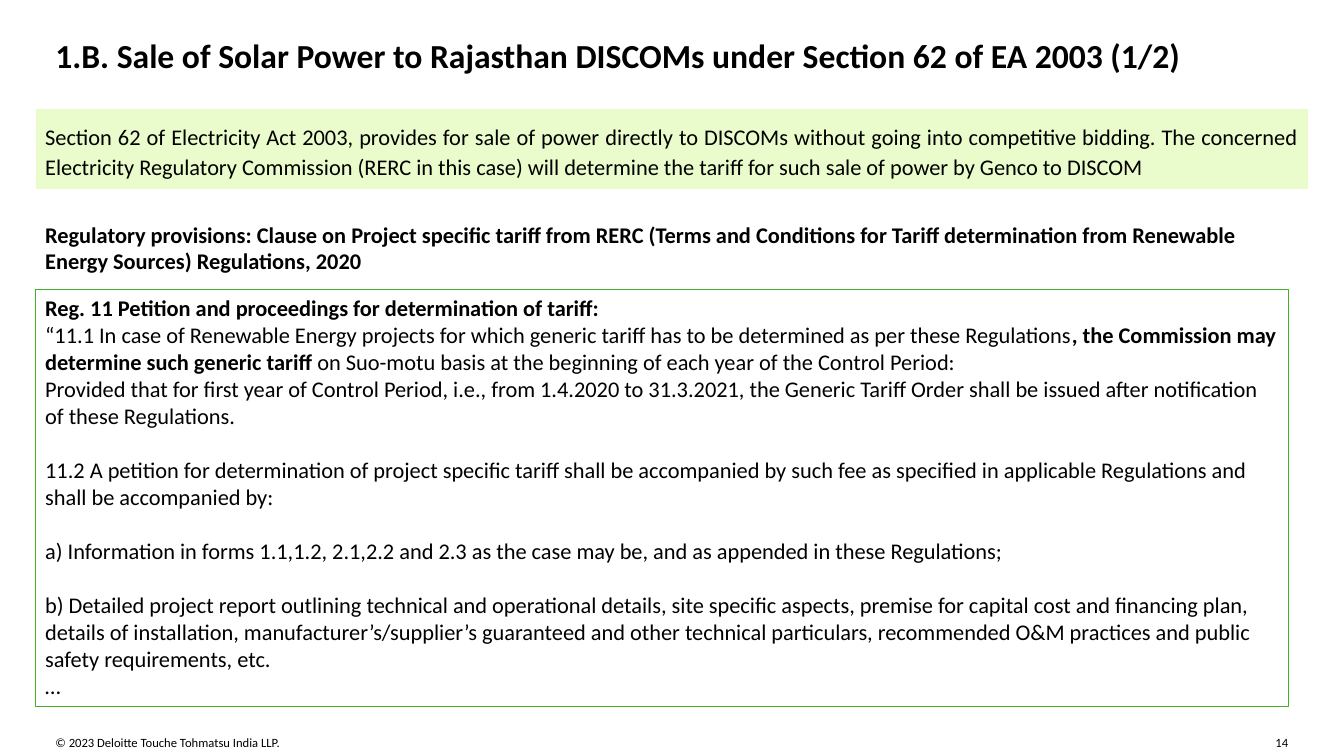
from pptx import Presentation
from pptx.dml.color import RGBColor
from pptx.enum.shapes import MSO_SHAPE
from pptx.enum.text import MSO_ANCHOR, PP_ALIGN
from pptx.util import Inches, Pt

COLORS = {"text": "000000", "band": "EBFCCC", "edge": "FFFFFF", "frame": "43B02A"}
LINE = 19.53  # height of one 16 pt text line, in points

deck = Presentation()
deck.slide_width, deck.slide_height = Inches(13.33), Inches(7.5)
slide = deck.slides.add_slide(deck.slide_layouts[6])


def add_box(left, top, width, height, pad=(0, 0), line=None, fill=None):
    """Add a plain text box, or a rectangle when a line colour is given."""
    place = [Inches(n) for n in (left, top, width, height)]
    if line:
        box = slide.shapes.add_shape(MSO_SHAPE.RECTANGLE, *place)
        box.shadow.inherit = False
        box.line.color.rgb = RGBColor.from_string(COLORS[line])
        box.line.width = Pt(0.75)
        if fill:
            box.fill.solid()
            box.fill.fore_color.rgb = RGBColor.from_string(COLORS[fill])
        else:
            box.fill.background()
    else:
        box = slide.shapes.add_textbox(*place)
    frame = box.text_frame
    frame.word_wrap = True
    frame.vertical_anchor = MSO_ANCHOR.TOP
    frame.margin_left = frame.margin_right = Inches(pad[0])
    frame.margin_top = frame.margin_bottom = Inches(pad[1])
    return frame


def add_runs(para, runs, size=16, align=PP_ALIGN.LEFT):
    """Fill a paragraph with (text, bold) runs."""
    para.alignment = align
    for text, bold in runs:
        run = para.add_run()
        run.text = text
        run.font.name = "Calibri"
        run.font.size = Pt(size)
        run.font.bold = bold
        run.font.color.rgb = RGBColor.from_string(COLORS["text"])


# Title
title = add_box(0.55, 0.35, 12.24, 0.37)
add_runs(title.paragraphs[0], [
    ("1.B. Sale of Solar Power to Rajasthan DISCOMs under Section 62 of EA 2003 (1/2)", True),
], size=24)

# Green summary band
band = add_box(0.35, 1.08, 12.63, 0.8, (0.1, 0.1), "edge", "band")
lead = band.paragraphs[0]
lead.line_spacing = 1.14
add_runs(lead, [
    ("Section 62 of Electricity Act 2003, provides for sale of power directly to DISCOMs "
     "without going into competitive bidding. The concerned Electricity Regulatory "
     "Commission (RERC in this case) will determine the tariff for such sale of power "
     "by Genco to DISCOM", False),
], align=PP_ALIGN.JUSTIFY)

# Heading above the frame
head = add_box(0.35, 2.14, 12.63, 0.64, (0.1, 0.05))
add_runs(head.paragraphs[0], [
    ("Regulatory provisions: Clause on Project specific tariff from RERC (Terms and "
     "Conditions for Tariff determination from Renewable Energy Sources) "
     "Regulations, 2020", True),
])

# Framed clauses: lines of space before, then runs
clauses = [
    (0, [("Reg. 11 Petition and proceedings for determination of tariff:", True)]),
    (0, [("“11.1 In case of Renewable Energy projects for which generic tariff has to be "
          "determined as per these Regulations", False),
         (", the Commission may determine such generic tariff", True),
         (" on Suo-motu basis at the beginning of each year of the Control Period:", False)]),
    (0, [("Provided that for first year of Control Period, i.e., from 1.4.2020 to 31.3.2021, "
          "the Generic Tariff Order shall be issued after notification of these "
          "Regulations.", False)]),
    (1, [("11.2 A petition for determination of project specific tariff shall be accompanied "
          "by such fee as specified in applicable Regulations and shall be accompanied "
          "by:", False)]),
    (1, [("a) Information in forms 1.1,1.2, 2.1,2.2 and 2.3 as the case may be, and as "
          "appended in these Regulations;", False)]),
    (1, [("b) Detailed project report outlining technical and operational details, site "
          "specific aspects, premise for capital cost and financing plan, details of "
          "installation, manufacturer’s/supplier’s guaranteed and other technical "
          "particulars, recommended O&M practices and public safety requirements, "
          "etc.", False)]),
    (0, [("…", False)]),
]
body = add_box(0.35, 2.87, 12.43, 4.14, (0.1, 0.05), "frame")
for i, (gap, runs) in enumerate(clauses):
    para = body.add_paragraph() if i else body.paragraphs[0]
    if gap:
        para.space_before = Pt(gap * LINE)
    add_runs(para, runs)

# Footer
note = add_box(0.55, 7.29, 5.86, 0.15)
add_runs(note.paragraphs[0], [("© 2023 Deloitte Touche Tohmatsu India LLP.", False)], size=9)
page = add_box(12.65, 7.29, 0.15, 0.15)
page.word_wrap = False
add_runs(page.paragraphs[0], [("14", False)], size=9)

deck.save("out.pptx")
